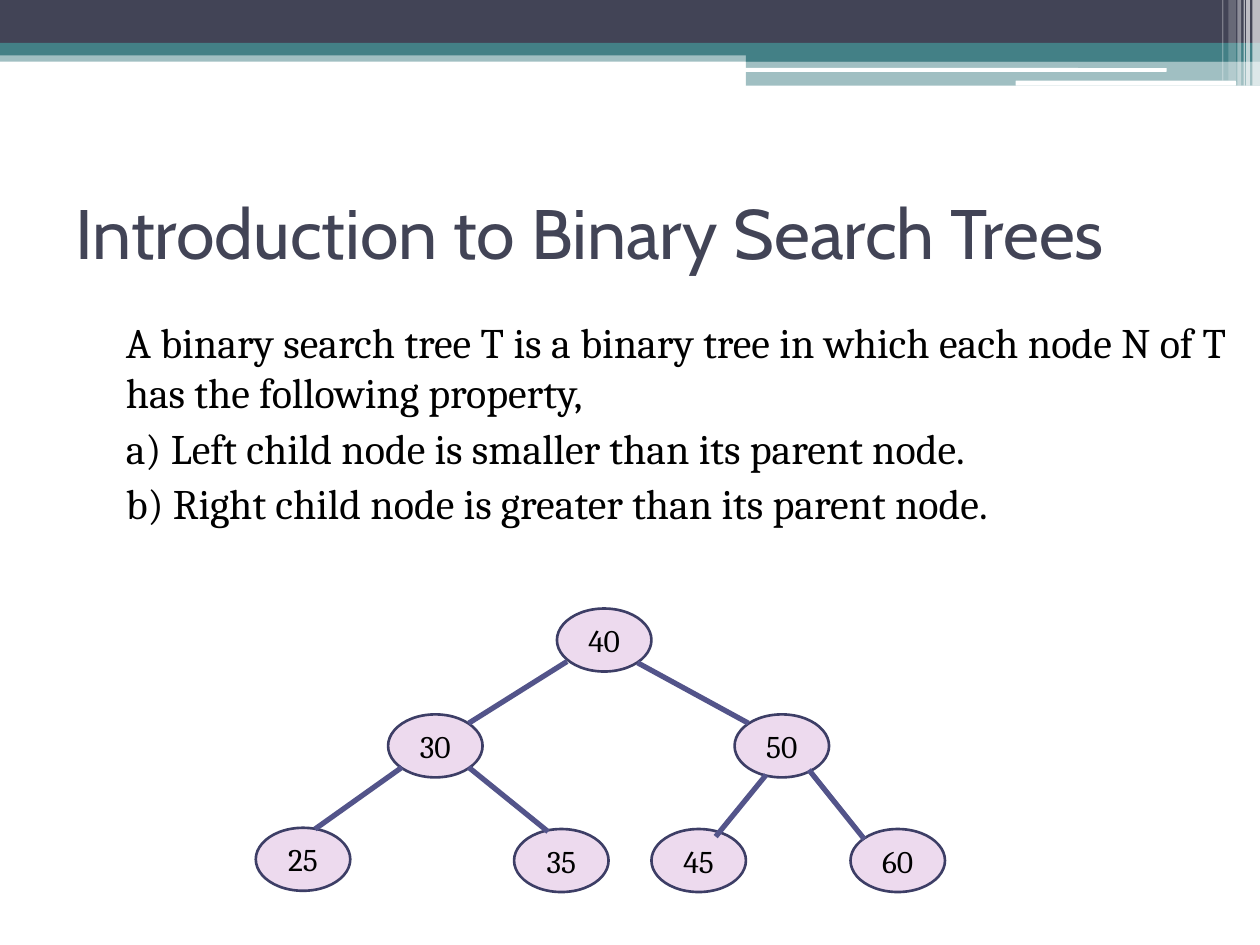
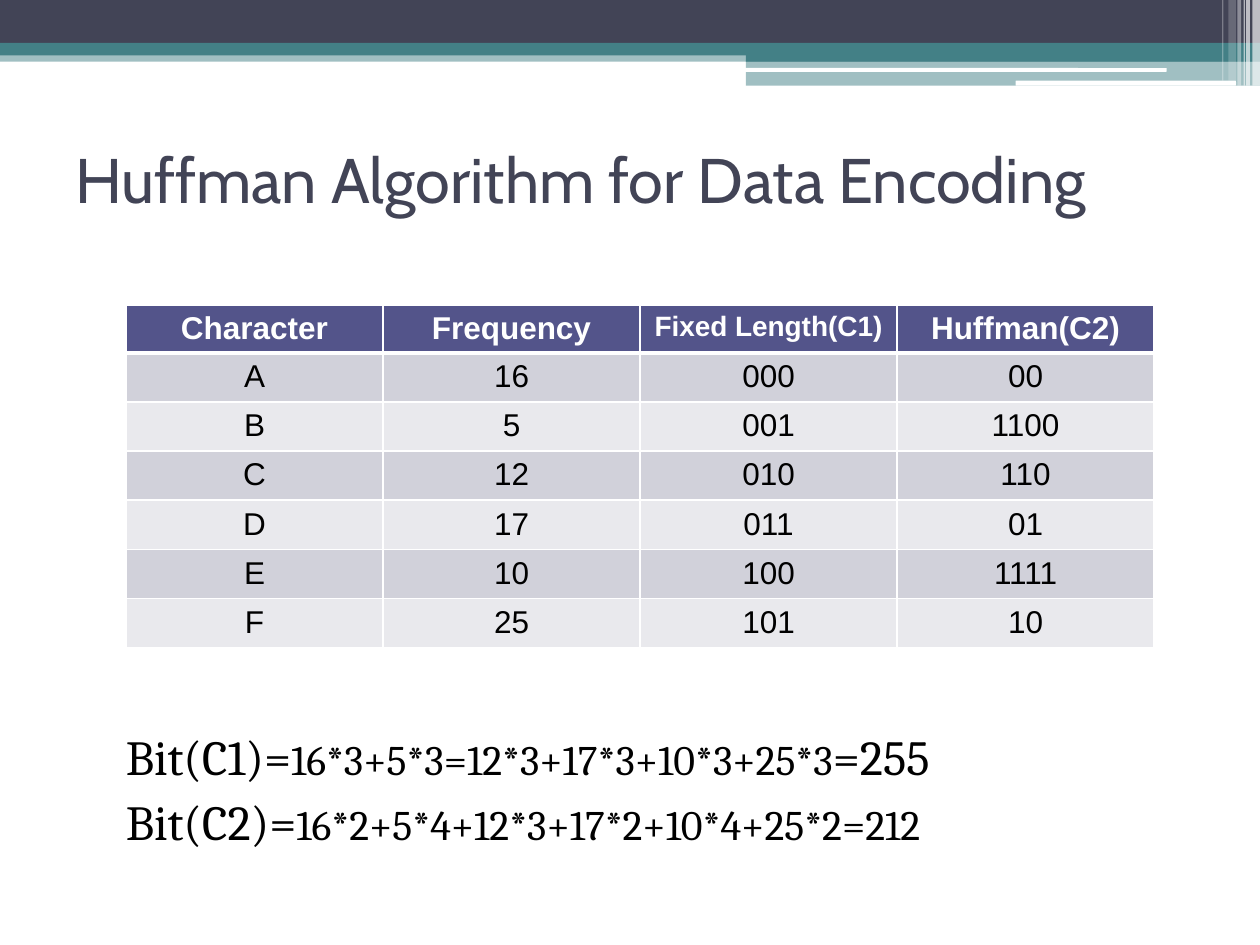
from dataclasses import dataclass

from lxml.etree import SubElement
from pptx import Presentation
from pptx.dml.color import RGBColor
from pptx.enum.shapes import MSO_CONNECTOR, MSO_SHAPE
from pptx.enum.text import MSO_ANCHOR, PP_ALIGN
from pptx.oxml.ns import qn
from pptx.util import Inches, Pt


@dataclass(frozen=True)
class Theme:
    ink: str = "000000"
    paper: str = "FFFFFF"
    navy: str = "424456"
    teal: str = "438086"
    indigo: str = "53548A"
    node_fill: str = "EDDAEE"
    node_line: str = "3D3E66"
    row_fills: tuple = ("D1D1DA", "E9E9ED")
    title_font: str = "Cabin"
    body_font: str = "Cambria"
    table_font: str = "Arial"
    title_size: int = 40
    long_title_size: int = 36
    formula_size: int = 28
    body_size: int = 24
    label_size: int = 18
    tight_label_size: int = 16


THEME = Theme()

BANDS = [
    (0, 0.4, 10, 0.09, THEME.teal, 50),
    (0, 0, 10, 0.34, THEME.navy, 100),
    (0, 0.34, 10, 0.1, THEME.teal, 100),
    (5.92, 0.39, 4.08, 0.1, THEME.teal, 100),
    (5.92, 0.48, 4.08, 0.2, THEME.teal, 50),
]
SLITS = [(5.91, 0.54, 3.35, 0.03), (8.06, 0.64, 1.75, 0.04)]
STRIPES = [
    (9.94, 0.06, 0.68, 65),
    (9.89, 0.03, 0.68, 65),
    (9.87, 0.01, 0.68, 60),
    (9.82, 0.03, 0.68, 40),
    (9.75, 0.06, 0.64, 20),
    (9.7, 0.01, 0.64, 30),
]


class Deck:
    def __init__(self, theme):
        self.theme = theme
        self.presentation = Presentation()
        self.presentation.slide_width = Inches(10)
        self.presentation.slide_height = Inches(7.5)
        self.slide = None

    def new_slide(self):
        blank = self.presentation.slide_layouts[6]
        self.slide = self.presentation.slides.add_slide(blank)
        for left, top, width, height, color, opacity in BANDS:
            self.shape(MSO_SHAPE.RECTANGLE, left, top, width, height, color, opacity)
        for slit in SLITS:
            self.shape(MSO_SHAPE.ROUNDED_RECTANGLE, *slit, self.theme.paper)
        for left, width, height, opacity in STRIPES:
            self.shape(MSO_SHAPE.RECTANGLE, left, 0, width, height,
                       self.theme.paper, opacity)

    def shape(self, preset, left, top, width, height, color, opacity=100):
        shape = self.slide.shapes.add_shape(
            preset, Inches(left), Inches(top), Inches(width), Inches(height))
        shape.shadow.inherit = False
        shape.fill.solid()
        shape.fill.fore_color.rgb = RGBColor.from_string(color)
        shape.line.fill.background()
        if opacity < 100:
            rgb = shape.fill._xPr.find(qn("a:solidFill"))[0]
            SubElement(rgb, qn("a:alpha"), val=str(opacity * 1000))
        return shape

    def style(self, font, family, size, color, bold=False):
        font.name = family
        font.size = Pt(size)
        font.bold = bold
        font.color.rgb = RGBColor.from_string(color)

    def text_frame(self, left, top, width, height):
        box = self.slide.shapes.add_textbox(
            Inches(left), Inches(top), Inches(width), Inches(height))
        box.text_frame.word_wrap = True
        return box.text_frame

    def title(self, text, top, height, size):
        frame = self.text_frame(0.5, top, 9, height)
        frame.vertical_anchor = MSO_ANCHOR.MIDDLE
        frame.text = text
        self.style(frame.paragraphs[0].runs[0].font, self.theme.title_font,
                   size, self.theme.navy)

    def body(self, paragraphs, top, width, height, align=PP_ALIGN.LEFT):
        frame = self.text_frame(0.5, top, width, height)
        for index, pieces in enumerate(paragraphs):
            paragraph = frame.add_paragraph() if index else frame.paragraphs[0]
            paragraph.alignment = align
            if index:
                paragraph.space_before = Pt(3)
            paragraph._p.get_or_add_pPr().set("marL", str(Inches(0.4)))
            for text, size in pieces:
                run = paragraph.add_run()
                run.text = text
                self.style(run.font, self.theme.body_font, size, self.theme.ink)

    def node(self, value, left, top):
        node = self.shape(MSO_SHAPE.OVAL, left, top, 0.75, 0.5, self.theme.node_fill)
        node.line.color.rgb = RGBColor.from_string(self.theme.node_line)
        node.line.width = Pt(1.5)
        frame = node.text_frame
        frame.vertical_anchor = MSO_ANCHOR.MIDDLE
        frame.text = value
        label = frame.paragraphs[0]
        label.alignment = PP_ALIGN.CENTER
        self.style(label.runs[0].font, self.theme.body_font,
                   self.theme.label_size, self.theme.ink)

    def edge(self, *ends):
        edge = self.slide.shapes.add_connector(
            MSO_CONNECTOR.STRAIGHT, *(Inches(end) for end in ends))
        edge.line.color.rgb = RGBColor.from_string(self.theme.indigo)
        edge.line.width = Pt(3)
        SubElement(edge._element.spPr, qn("a:effectLst"))

    def border(self, cell, side, width):
        line = SubElement(cell._tc.get_or_add_tcPr(), qn(f"a:ln{side}"),
                          w=str(Pt(width)))
        fill = SubElement(line, qn("a:solidFill"))
        SubElement(fill, qn("a:srgbClr"), val=self.theme.paper)

    def table(self, rows, left, top, column_width, header_height, row_height,
              tight_labels):
        height = header_height + row_height * (len(rows) - 1)
        table = self.slide.shapes.add_table(
            len(rows), len(rows[0]), Inches(left), Inches(top),
            Inches(column_width * len(rows[0])), Inches(height)).table
        table.horz_banding = False
        for column in table.columns:
            column.width = Inches(column_width)
        for r, values in enumerate(rows):
            is_header = r == 0
            table.rows[r].height = Inches(row_height if r else header_height)
            for c, value in enumerate(values):
                cell = table.cell(r, c)
                cell.margin_bottom = Inches(0.03)
                for side in "LRTB":
                    thick = (is_header and side == "B") or (r == 1 and side == "T")
                    self.border(cell, side, 3 if thick else 1)
                cell.fill.solid()
                color = self.theme.indigo if is_header else self.theme.row_fills[(r - 1) % 2]
                cell.fill.fore_color.rgb = RGBColor.from_string(color)
                cell.text_frame.text = value
                paragraph = cell.text_frame.paragraphs[0]
                paragraph.alignment = PP_ALIGN.CENTER
                size = (self.theme.tight_label_size if value in tight_labels
                        else self.theme.label_size)
                self.style(paragraph.runs[0].font, self.theme.table_font, size,
                           self.theme.paper if is_header else self.theme.ink, is_header)


def search_tree_slide(deck):
    deck.new_slide()
    deck.title("Introduction to Binary Search Trees", 1.25, 1.17, THEME.title_size)
    definition = [
        "A binary search tree T is a binary tree in which each node N of T "
        "has the following property,",
        "a) Left child node is smaller than its parent node.",
        "b) Right child node is greater than its parent node.",
    ]
    deck.body([[(text, THEME.body_size)] for text in definition],
              2.46, 9.33, 4.73, PP_ALIGN.JUSTIFY)
    nodes = [
        ("40", 4.42, 4.83),
        ("30", 3.08, 5.67), ("50", 5.83, 5.67),
        ("25", 2.03, 6.57), ("35", 4.08, 6.58),
        ("45", 5.17, 6.58), ("60", 6.75, 6.58),
    ]
    edges = [
        (4.5, 5.25, 3.72, 5.74), (5.06, 5.26, 5.94, 5.74),
        (3.19, 6.09, 2.5, 6.58), (3.72, 6.09, 4.35, 6.6),
        (6.08, 6.15, 5.68, 6.64), (6.42, 6.11, 6.86, 6.66),
    ]
    for node in nodes:
        deck.node(*node)
    for edge in edges:
        deck.edge(*edge)


def huffman_slide(deck):
    deck.new_slide()
    deck.title("Huffman Algorithm for Data Encoding", 1, 0.83, THEME.long_title_size)
    codes = [
        ("Character", "Frequency", "Fixed Length(C1)", "Huffman(C2)"),
        ("A", "16", "000", "00"),
        ("B", "5", "001", "1100"),
        ("C", "12", "010", "110"),
        ("D", "17", "011", "01"),
        ("E", "10", "100", "1111"),
        ("F", "25", "101", "10"),
    ]
    large, small = THEME.formula_size, THEME.body_size
    bit_counts = [
        [("Bit(C1)=", large), ("16*3+5*3=12*3+17*3+10*3+25*3", small), ("=255", large)],
        [("Bit(C2)=", large), ("16*2+5*4+12*3+17*2+10*4+25*2=212", small)],
    ]
    deck.body(bit_counts, 5.72, 9, 1.18)
    deck.table(codes, 1, 2.42, 2.04, 0.37, 0.39, {"Fixed Length(C1)"})


def main():
    deck = Deck(THEME)
    search_tree_slide(deck)
    huffman_slide(deck)
    deck.presentation.save("out.pptx")


if __name__ == "__main__":
    main()
